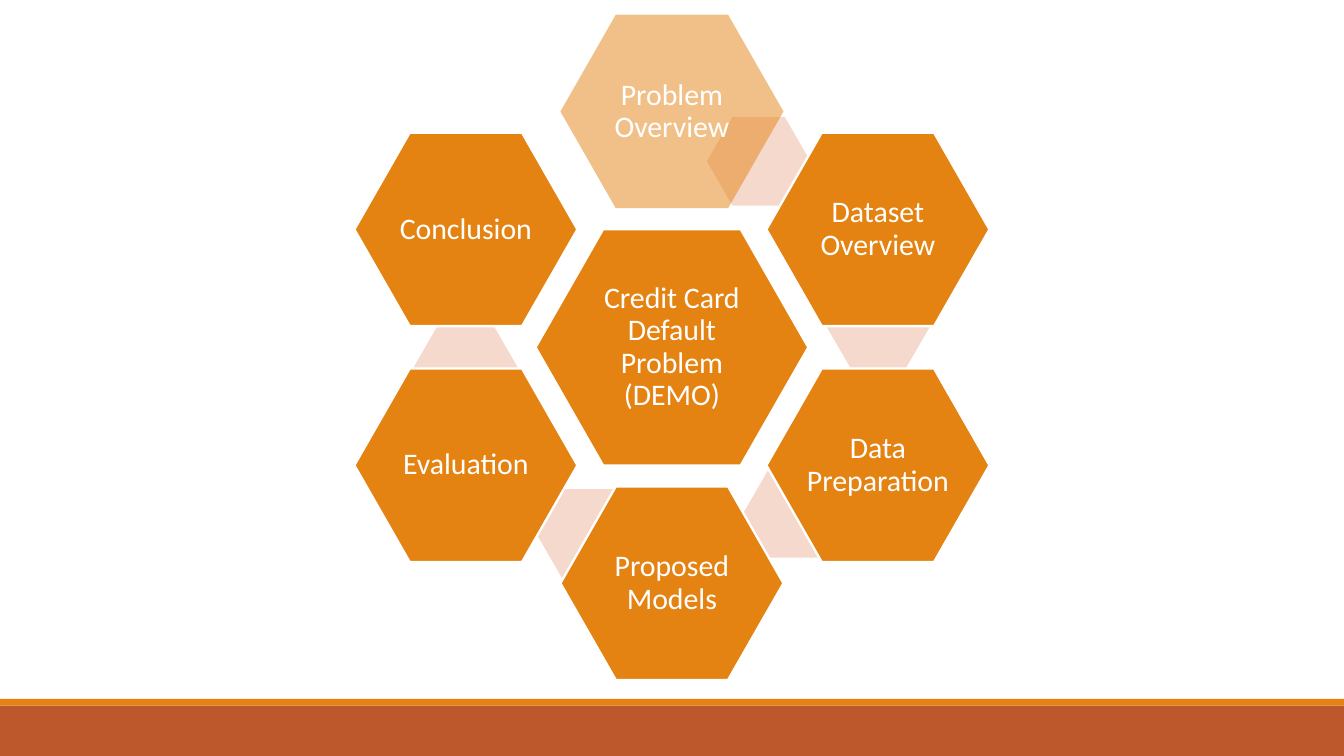
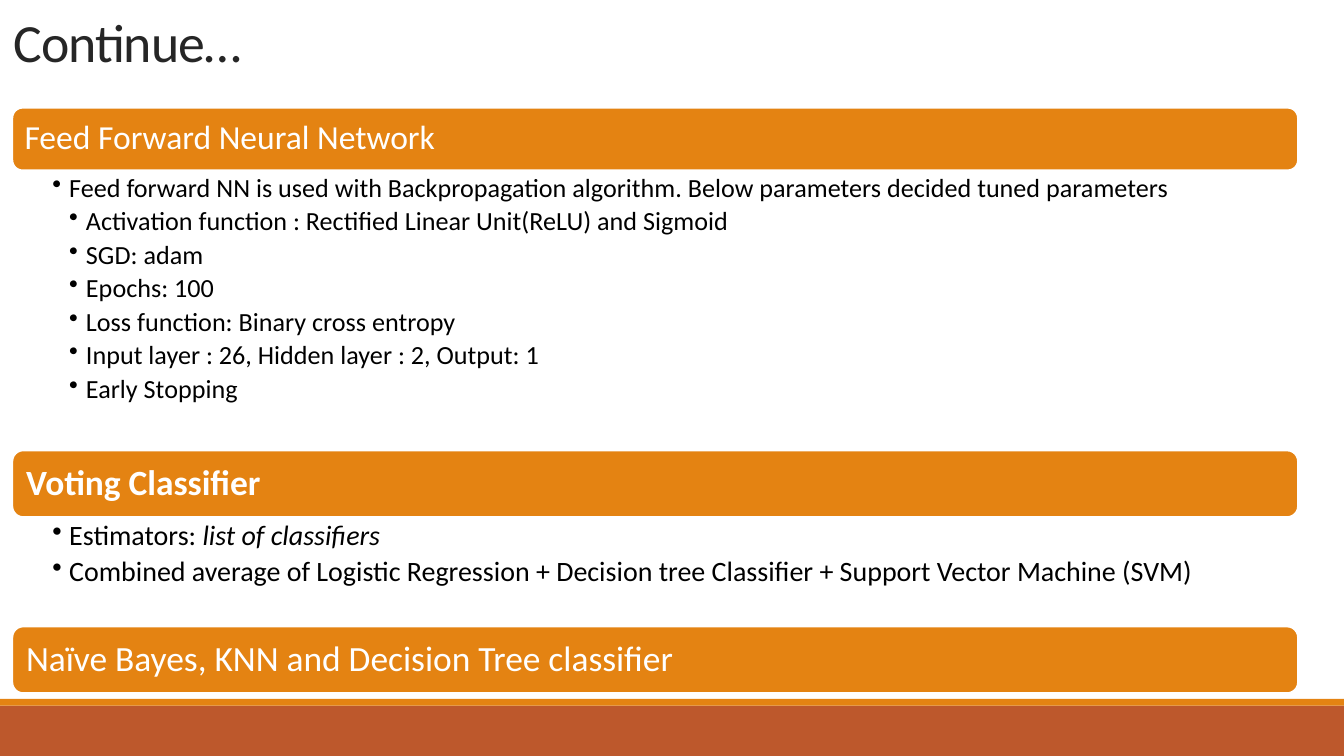
from dataclasses import dataclass
from itertools import zip_longest
from math import cos, radians, sin

from lxml.etree import SubElement
from pptx import Presentation
from pptx.dml.color import RGBColor as RGB
from pptx.enum.shapes import MSO_SHAPE as SHAPE
from pptx.enum.text import MSO_ANCHOR as ANCHOR
from pptx.enum.text import MSO_AUTO_SIZE as FIT
from pptx.enum.text import PP_ALIGN as ALIGN
from pptx.oxml.ns import qn
from pptx.util import Emu, Inches, Pt

COLS, ROWS = 100, 56.25
UNIT = Inches(0.1)


@dataclass(frozen=True)
class Theme:
    font: str = "Calibri"
    brand: str = "E48312"
    base: str = "BD582C"
    link: str = "F5D9CC"
    white: str = "FFFFFF"
    black: str = "000000"
    title: str = "262626"
    head: float = 28.8
    node: float = 16
    edge: float = 1.25


@dataclass(frozen=True)
class Box:
    x: float
    y: float
    w: float
    h: float

    def at(self, x, y, w, h):
        return Box(self.x + x, self.y + y, w, h)

    def mid(self, dx, dy, w, h):
        return self.at((self.w - w) / 2 + dx, (self.h - h) / 2 + dy, w, h)

    def emu(self):
        return [Emu(round(v * UNIT)) for v in (self.x, self.y, self.w, self.h)]


THEME = Theme()
PAGE = Box(0, 0, COLS, ROWS)

HUB = "Credit Card Default Problem (DEMO)"
NODES = ["Problem Overview", "Dataset Overview", "Data Preparation",
         "Proposed Models", "Evaluation", "Conclusion"]
LINKS = [(6.45, -13.85), (15.35, -1.55), (9.15, 12.35), (-6.25, 13.85), (-15.35, 1.45)]

PLAIN, BOLD, SLANT = {}, {"bold": True}, {"italic": True}
PARTS = [
    {"row": 8, "high": 4.7, "size": 18, "look": PLAIN, "pad": 0.7,
     "head": "Feed Forward Neural Network", "text": 14, "deep": 18.3,
     "list": [
         (1, [("Feed forward NN is used with Backpropagation algorithm. "
               "Below parameters decided tuned parameters", PLAIN)]),
         (2, [("Activation function : Rectified Linear Unit(ReLU) and Sigmoid", PLAIN)]),
         (2, [("SGD: adam", PLAIN)]),
         (2, [("Epochs: 100", PLAIN)]),
         (2, [("Loss function: Binary cross entropy", PLAIN)]),
         (2, [("Input layer : 26, Hidden layer : 2, Output: 1", PLAIN)]),
         (2, [("Early Stopping", PLAIN)]),
     ]},
    {"row": 33.5, "high": 5, "size": 19, "look": BOLD, "pad": 0.8,
     "head": "Voting Classifier", "text": 15, "deep": 12.2,
     "list": [
         (1, [("Estimators: ", PLAIN), ("list of classifiers", SLANT)]),
         (1, [("Combined average of Logistic Regression + Decision tree Classifier "
               "+ Support Vector Machine (SVM)", PLAIN)]),
     ]},
    {"row": 46.6, "high": 5, "size": 19, "look": PLAIN, "pad": 0.8,
     "head": "Naïve Bayes, KNN and Decision Tree classifier", "list": []},
]


def apply(item, values):
    for name, value in values.items():
        setattr(item, name, value)


def block(slide, kind, box, fill, edge=False, bend=None, alpha=None):
    shape = slide.shapes.add_shape(kind, *box.emu())
    shape.shadow.inherit = False
    shape.fill.solid()
    shape.fill.fore_color.rgb = RGB.from_string(fill)
    if bend:
        shape.adjustments[0] = bend
    if alpha:
        tint = next(shape.element.spPr.iter(qn("a:srgbClr")))
        SubElement(tint, qn("a:alpha"), val=str(alpha * 1000))
    if edge:
        shape.line.color.rgb = RGB.from_string(THEME.white)
        shape.line.width = Pt(THEME.edge)
    else:
        shape.line.fill.background()
    return shape


def frame(shape, pads, anchor):
    left, top, right, bottom = (Emu(round(p * UNIT)) for p in pads)
    text = shape.text_frame
    apply(text, {"word_wrap": True, "auto_size": FIT.NONE, "vertical_anchor": anchor,
                 "margin_left": left, "margin_top": top,
                 "margin_right": right, "margin_bottom": bottom})
    return text


def write(para, runs, size, color, align=ALIGN.LEFT, lead=0.9, after=0.35):
    apply(para, {"alignment": align, "line_spacing": lead,
                 "space_before": Pt(0), "space_after": Pt(size * after)})
    for words, look in runs:
        run = para.add_run()
        run.text = words
        apply(run.font, {"name": THEME.font, "size": Pt(size), **look})
        run.font.color.rgb = RGB.from_string(color)


def bullet(para, level):
    para.level = level
    props = para._p.get_or_add_pPr()
    props.set("marL", str(Inches(0.125 * level)))
    props.set("indent", str(-Inches(0.125)))
    SubElement(props, qn("a:buChar"), char="•")


def bands(slide, box):
    for row, high, fill in ((52.5, 3.75, THEME.base), (52, 0.5, THEME.brand)):
        block(slide, SHAPE.RECTANGLE, box.at(0, row, box.w, high), fill)


def title(slide, box, words):
    shape = slide.shapes.title
    apply(shape, dict(zip(("left", "top", "width", "height"), box.emu())))
    text = frame(shape, (1, 0.5, 1, 0.5), ANCHOR.BOTTOM)
    write(text.paragraphs[0], [(words, PLAIN)], THEME.head, THEME.title, lead=0.65, after=0)
    for props in shape.element.iter(qn("a:rPr")):
        props.set("spc", "-50")


def node(slide, box, words, faded=False):
    shape = block(slide, SHAPE.HEXAGON, box, THEME.brand, edge=not faded,
                  bend=0.286, alpha=50 if faded else None)
    text = frame(shape, (0.2,) * 4, ANCHOR.MIDDLE)
    write(text.paragraphs[0], [(words, PLAIN)], THEME.node, THEME.white, ALIGN.CENTER)


def ring(slide, box):
    node(slide, box.mid(0, 0, 20.3, 17.6), HUB)
    for i, (words, link) in enumerate(zip_longest(NODES, LINKS)):
        if link:
            block(slide, SHAPE.HEXAGON, box.mid(*link, 7.7, 6.6), THEME.link, bend=0.289)
        turn = radians(360 / len(NODES) * i)
        spot = box.mid(17.7 * sin(turn), -17.55 * cos(turn), 16.6, 14.4)
        node(slide, spot, words, faded=i == 0)


def part(slide, box, data):
    bar = block(slide, SHAPE.ROUNDED_RECTANGLE, box, THEME.brand, edge=True)
    text = frame(bar, (data["pad"],) * 4, ANCHOR.MIDDLE)
    write(text.paragraphs[0], [(data["head"], data["look"])], data["size"], THEME.white)
    if not data["list"]:
        return
    body = slide.shapes.add_textbox(*box.at(0, box.h, box.w, data["deep"]).emu())
    text = frame(body, (3, 0.3, 1.4, 0.3), ANCHOR.TOP)
    for i, (level, runs) in enumerate(data["list"]):
        para = text.add_paragraph() if i else text.paragraphs[0]
        write(para, runs, data["text"], THEME.black, after=0.2)
        bullet(para, level)


def agenda(deck):
    slide = deck.slides.add_slide(deck.slide_layouts[6])
    bands(slide, PAGE)
    ring(slide, PAGE.at(0, 0, COLS, 51.7))


def models(deck):
    slide = deck.slides.add_slide(deck.slide_layouts[5])
    bands(slide, PAGE)
    title(slide, PAGE.at(0, 1.2, 89.5, 4.6), "Continue…")
    for data in PARTS:
        part(slide, PAGE.at(0.9, data["row"], 95.7, data["high"]), data)


def main():
    deck = Presentation()
    apply(deck, {"slide_width": COLS * UNIT, "slide_height": Emu(round(ROWS * UNIT))})
    agenda(deck)
    models(deck)
    deck.save("out.pptx")


if __name__ == "__main__":
    main()
